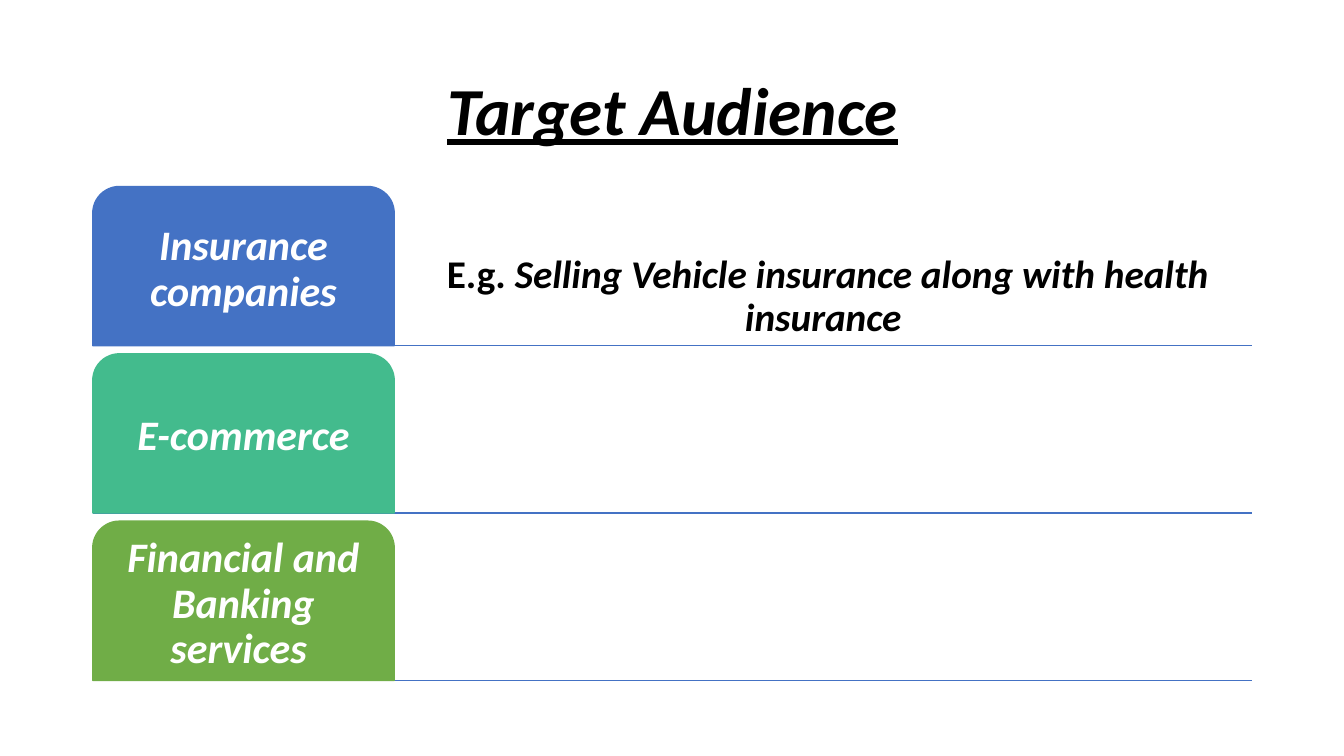
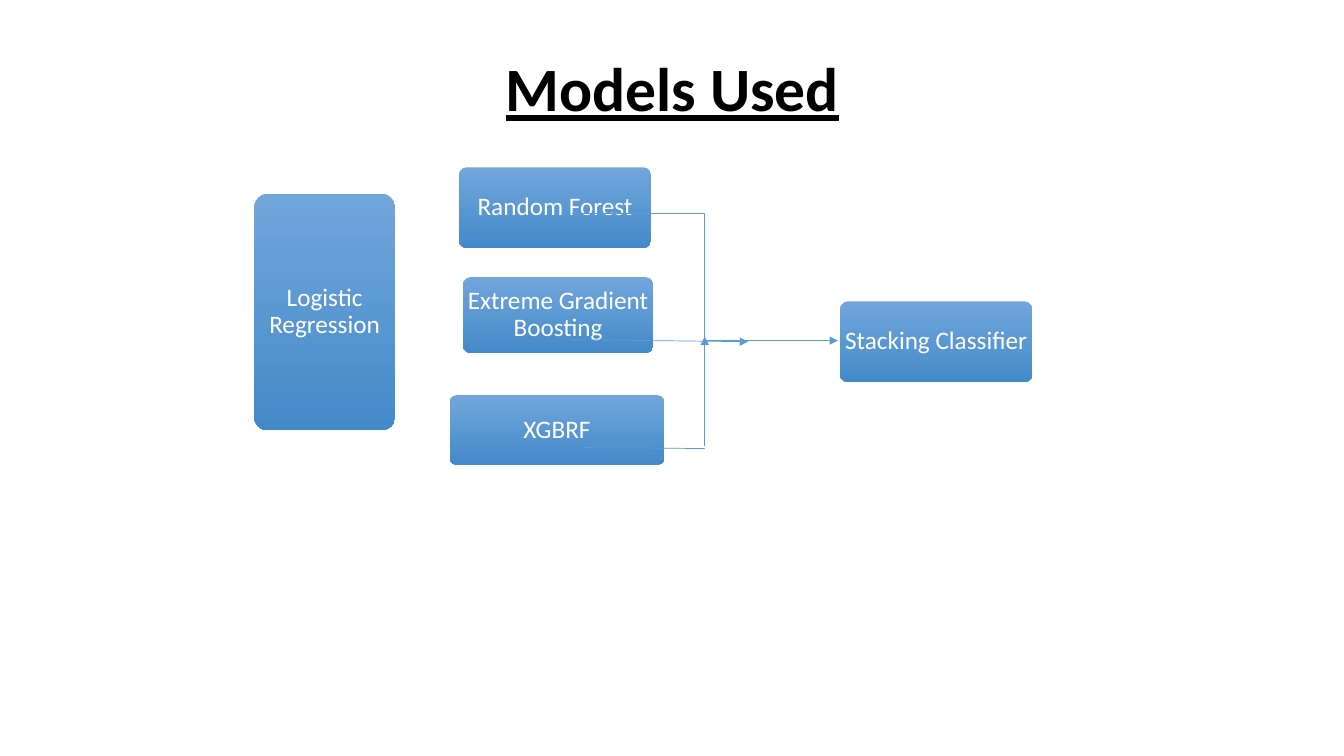
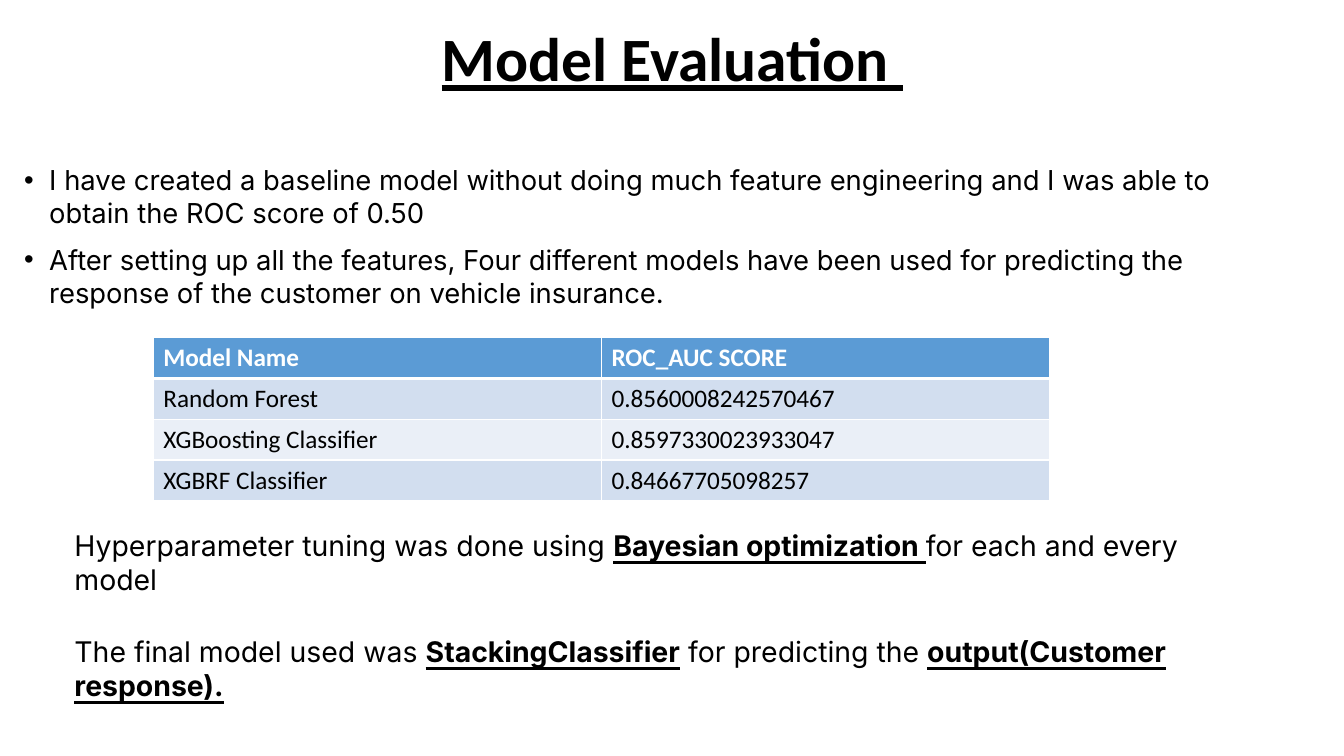
from dataclasses import dataclass

from lxml import etree
from pptx import Presentation
from pptx import util as u
from pptx.dml import color
from pptx.enum import shapes, text
from pptx.oxml import ns


@dataclass(frozen=True)
class Theme:
    heading_font: str = "Calibri"
    body_font: str = "Inter"
    ink: str = "000000"
    paper: str = "FFFFFF"
    rule: str = "4472C4"
    tabs: tuple = ("4472C4", "43BB8D", "70AD47")
    card_top: str = "71A6DB"
    card_bottom: str = "448ACA"
    accent: str = "5B9BD5"
    bands: tuple = ("D2DEEF", "EAEFF7")
    title: float = 44
    title_large: float = 48
    tab: float = 30
    example: float = 28
    label: float = 18
    bullet: float = 19.6
    conclusion: float = 20.3


THEME = Theme()
EMPHASIS = {"bold": True, "underline": True}


def rgb(value):
    return color.RGBColor.from_string(value)


def apply(target, formats):
    for name, value in formats.items():
        setattr(target, name, value)


def write(paragraph, runs, size, ink=THEME.ink, face=THEME.heading_font, **shared):
    for wording, special in runs:
        run = paragraph.add_run()
        run.text = wording
        run.font.color.rgb = rgb(ink)
        apply(run.font, {"name": face, "size": u.Pt(size), **shared, **special})


def set_frame(frame, anchor, inset=None):
    apply(frame, {"word_wrap": True, "vertical_anchor": anchor})
    if inset is not None:
        sides = ("margin_left", "margin_top", "margin_right", "margin_bottom")
        apply(frame, dict.fromkeys(sides, u.Inches(inset)))


def center(frame, runs, size, **formats):
    paragraph = frame.paragraphs[0]
    apply(paragraph, {"alignment": text.PP_ALIGN.CENTER, "line_spacing": 0.9})
    write(paragraph, runs, size, **formats)


def add_text_area(slide, box, anchor=text.MSO_ANCHOR.TOP, inset=None):
    frame = slide.shapes.add_textbox(*map(u.Inches, box)).text_frame
    set_frame(frame, anchor, inset)
    return frame


def add_title(slide, wording, top, height, size=THEME.title, **formats):
    frame = add_text_area(slide, (0.92, top, 11.5, height), text.MSO_ANCHOR.MIDDLE)
    center(frame, [(wording, formats)], size, **EMPHASIS)


def add_labeled_shape(slide, kind, box, corners, label, size, inset, **formats):
    shape = slide.shapes.add_shape(kind, *map(u.Inches, box))
    shape.shadow.inherit = False
    for index, corner in enumerate(corners):
        shape.adjustments[index] = corner
    set_frame(shape.text_frame, text.MSO_ANCHOR.MIDDLE, inset)
    center(shape.text_frame, [(label, {})], size, ink=THEME.paper, **formats)
    return shape


def add_tab(slide, box, label, fill):
    tab = add_labeled_shape(slide, shapes.MSO_SHAPE.ROUND_2_SAME_RECTANGLE, box,
                            (0.167, 0), label, THEME.tab, 0.06, bold=True, italic=True)
    tab.fill.solid()
    tab.fill.fore_color.rgb = rgb(fill)
    tab.line.color.rgb = rgb(fill)
    tab.line.width = u.Pt(1)


def add_model_card(slide, label, box):
    card = add_labeled_shape(slide, shapes.MSO_SHAPE.ROUNDED_RECTANGLE, box,
                             (0.1,), label, THEME.label, 0.01)
    card.fill.gradient()
    card.fill.gradient_angle = 270
    for stop, shade in zip(card.fill.gradient_stops, (THEME.card_top, THEME.card_bottom)):
        stop.color.rgb = rgb(shade)
    card.line.fill.background()


def add_line(slide, start, end, shade, width, arrow=False,
             kind=shapes.MSO_CONNECTOR.STRAIGHT):
    line = slide.shapes.add_connector(kind, *map(u.Inches, start + end))
    line.line.color.rgb = rgb(shade)
    line.line.width = u.Pt(width)
    properties = line._element.spPr
    if arrow:
        etree.SubElement(properties.find(ns.qn("a:ln")), ns.qn("a:tailEnd"), type="triangle")
    etree.SubElement(properties, ns.qn("a:effectLst"))


def add_paragraphs(frame, entries, size, gap, bulleted=False):
    for index, runs in enumerate(entries):
        paragraph = frame.add_paragraph() if index else frame.paragraphs[0]
        paragraph.space_before = u.Pt(gap if index else 0)
        write(paragraph, runs, size, face=THEME.body_font)
        if bulleted:
            properties = paragraph._p.get_or_add_pPr()
            properties.set("marL", str(u.Inches(0.25)))
            properties.set("indent", str(u.Inches(-0.25)))
            etree.SubElement(properties, ns.qn("a:buFont"), typeface="Arial")
            etree.SubElement(properties, ns.qn("a:buChar"), char="•")


def add_borders(cell, widths):
    properties = cell._tc.get_or_add_tcPr()
    for side, width in widths.items():
        edge = etree.SubElement(properties, ns.qn(f"a:ln{side}"), w=str(u.Pt(width)))
        fill = etree.SubElement(edge, ns.qn("a:solidFill"))
        etree.SubElement(fill, ns.qn("a:srgbClr"), val=THEME.paper)


def add_score_table(slide, box, rows):
    table = slide.shapes.add_table(len(rows), len(rows[0]), *map(u.Inches, box)).table
    for row, values in enumerate(rows):
        header = row == 0
        fill = THEME.accent if header else THEME.bands[(row - 1) % 2]
        ink = THEME.paper if header else THEME.ink
        widths = {"L": 1, "R": 1, "T": 3 if row == 1 else 1, "B": 3 if header else 1}
        for column, value in enumerate(values):
            cell = table.cell(row, column)
            add_borders(cell, widths)
            cell.fill.solid()
            cell.fill.fore_color.rgb = rgb(fill)
            write(cell.text_frame.paragraphs[0], [(value, {})], THEME.label,
                  ink=ink, bold=header)


def build_audience(slide):
    add_title(slide, "Target Audience", 0.4, 1.45, THEME.title_large, italic=True)
    left, top, right, tab_width, tab_height, pitch = 0.92, 1.85, 12.42, 2.99, 1.58, 1.66
    audiences = ("Insurance companies", "E-commerce", "Financial and Banking services ")
    for index, (audience, fill) in enumerate(zip(audiences, THEME.tabs)):
        tab_top = top + index * pitch
        base = tab_top + tab_height
        add_line(slide, (left, base), (right, base), THEME.rule, 1)
        add_tab(slide, (left, tab_top, tab_width, tab_height), audience, fill)
    example_left = left + tab_width
    example = add_text_area(slide, (example_left, top, right - example_left, tab_height),
                            text.MSO_ANCHOR.BOTTOM, 0.06)
    center(example, [
        (" E.g. ", {}),
        ("Selling Vehicle insurance along with health insurance", {"italic": True}),
    ], THEME.example, bold=True)


def build_models(slide):
    add_title(slide, "Models Used", 0.4, 1.02)
    models = {
        "Random Forest": (4.55, 1.66, 1.91, 0.8),
        "XGBRF": (4.46, 3.92, 2.13, 0.69),
        "Logistic Regression": (2.52, 1.92, 1.4, 2.35),
        "Extreme Gradient Boosting": (4.59, 2.75, 1.89, 0.75),
        "Stacking Classifier": (8.33, 2.99, 1.91, 0.8),
    }
    for model, box in models.items():
        add_model_card(slide, model, box)
    junction = 6.99
    straight, elbow = shapes.MSO_CONNECTOR.STRAIGHT, shapes.MSO_CONNECTOR.ELBOW
    flows = (
        ((5.67, 2.12), (8.31, 3.38), True, elbow),
        ((5.64, 3.37), (7.42, 3.39), True, straight),
        ((5.78, 4.44), (junction, 4.45), False, straight),
        ((junction, 4.42), (junction, 3.34), True, straight),
    )
    for start, end, arrow, kind in flows:
        add_line(slide, start, end, THEME.accent, 0.5, arrow, kind)


def build_evaluation(slide):
    add_title(slide, "Model Evaluation ", 0, 1.22)
    findings = add_text_area(slide, (0.14, 1.57, 12.27, 1.6))
    add_paragraphs(findings, [
        [("I have created a baseline model without doing much feature engineering "
          "and I was able to obtain the ROC score of 0.50", {})],
        [("After setting up all the features, Four different models have been used for "
          "predicting the response of the customer on vehicle insurance.", {})],
    ], THEME.bullet, 10, bulleted=True)
    add_score_table(slide, (1.52, 3.35, 8.89, 1.62), (
        ("Model Name", "ROC_AUC SCORE"),
        ("Random Forest", "0.8560008242570467"),
        ("XGBoosting Classifier", "0.8597330023933047"),
        ("XGBRF Classifier", "0.84667705098257"),
    ))
    conclusions = add_text_area(slide, (0.64, 5.19, 11.77, 1.85))
    add_paragraphs(conclusions, [
        [("Hyperparameter tuning was done using ", {}),
         ("Bayesian optimization ", EMPHASIS),
         ("for each and every model", {})],
        [("The final model used was ", {}),
         ("StackingClassifier", EMPHASIS),
         (" for predicting the ", {}),
         ("output(Customer response).", EMPHASIS)],
    ], THEME.conclusion, 27)


def main():
    deck = Presentation()
    apply(deck, {"slide_width": u.Inches(13.33), "slide_height": u.Inches(7.5)})
    for build in (build_audience, build_models, build_evaluation):
        build(deck.slides.add_slide(deck.slide_layouts[6]))
    deck.save("out.pptx")


if __name__ == "__main__":
    main()
